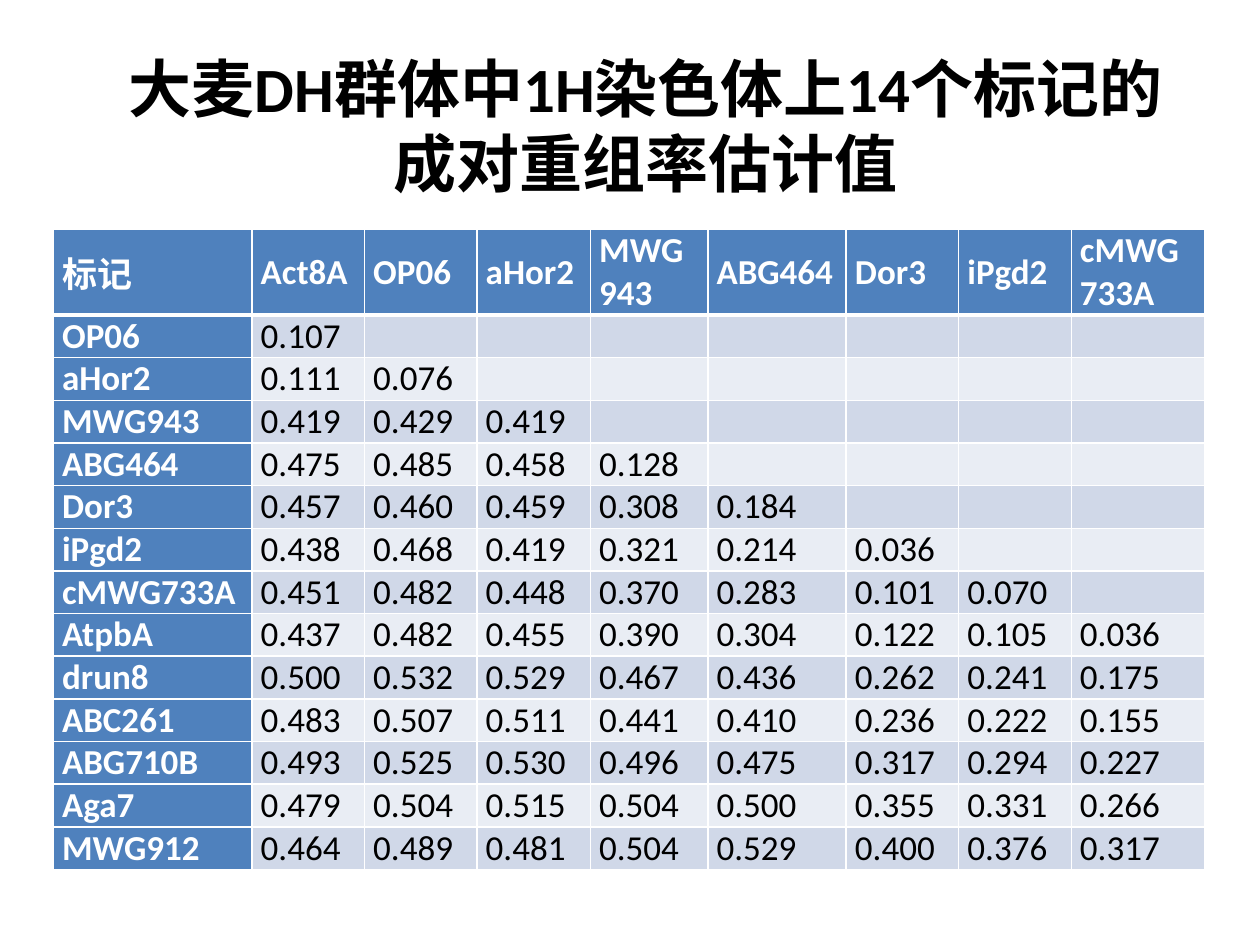
from lxml.etree import SubElement as Sub
from pptx import Presentation
from pptx.dml.color import RGBColor
from pptx.enum.text import MSO_ANCHOR as Anchor, PP_ALIGN as Align
from pptx.oxml.ns import qn
from pptx.util import Pt


def rgb(code):
    return RGBColor.from_string(code)


def write(frame, text, size=20, color="000000", bold=False, align=Align.LEFT):
    para = frame.paragraphs[0]
    para.alignment = align
    para.font.size = Pt(size)
    if text:
        run = para.add_run()
        run.text = text
        run.font.name = "Calibri"
        run.font.size = Pt(size)
        run.font.bold = bold
        run.font.color.rgb = rgb(color)


deck = Presentation()
deck.slide_width, deck.slide_height = Pt(720), Pt(540)
slide = deck.slides.add_slide(deck.slide_layouts[6])

title = slide.shapes.add_textbox(Pt(65.5), Pt(26), Pt(607), Pt(90.7)).text_frame
title.word_wrap = True
title.vertical_anchor = Anchor.MIDDLE
write(title, "大麦DH群体中1H染色体上14个标记的成对重组率估计值",
      size=36, bold=True, align=Align.CENTER)

rows = [line.split() for line in """
标记 Act8A OP06 aHor2 MWG943 ABG464 Dor3 iPgd2 cMWG733A
OP06 0.107
aHor2 0.111 0.076
MWG943 0.419 0.429 0.419
ABG464 0.475 0.485 0.458 0.128
Dor3 0.457 0.460 0.459 0.308 0.184
iPgd2 0.438 0.468 0.419 0.321 0.214 0.036
cMWG733A 0.451 0.482 0.448 0.370 0.283 0.101 0.070
AtpbA 0.437 0.482 0.455 0.390 0.304 0.122 0.105 0.036
drun8 0.500 0.532 0.529 0.467 0.436 0.262 0.241 0.175
ABC261 0.483 0.507 0.511 0.441 0.410 0.236 0.222 0.155
ABG710B 0.493 0.525 0.530 0.496 0.475 0.317 0.294 0.227
Aga7 0.479 0.504 0.515 0.504 0.500 0.355 0.331 0.266
MWG912 0.464 0.489 0.481 0.504 0.529 0.400 0.376 0.317
""".strip().splitlines()]
widths = [113.5, 64.3, 64.3, 64.8, 67.1, 79.1, 64.3, 64.3, 76.3]
high = 24.4

table = slide.shapes.add_table(
    len(rows), len(widths), Pt(30.5), Pt(131.2),
    Pt(sum(widths)), Pt(high * (len(rows) + 1))).table
table.first_col = True
for col, width in zip(table.columns, widths):
    col.width = Pt(width)

for r, row in enumerate(rows):
    table.rows[r].height = Pt(high * 2 if r == 0 else high)
    for c in range(len(widths)):
        cell = table.cell(r, c)
        cell.margin_left = cell.margin_right = Pt(5)
        cell.margin_top = cell.margin_bottom = 0
        cell.vertical_anchor = Anchor.MIDDLE
        head = r == 0 or c == 0
        props = cell._tc.get_or_add_tcPr()
        for side in "LRTB":
            thick = (r == 0 and side == "B") or (r == 1 and side == "T")
            line = Sub(props, qn("a:ln" + side), w=str(Pt(3 if thick else 1)))
            Sub(Sub(line, qn("a:solidFill")), qn("a:srgbClr"), val="FFFFFF")
        cell.fill.solid()
        cell.fill.fore_color.rgb = rgb(
            "4F81BD" if head else "D0D8E8" if r % 2 else "E9EDF4")
        write(cell.text_frame, row[c] if c < len(row) else "",
              color="FFFFFF" if head else "000000", bold=head,
              align=Align.JUSTIFY if head and r + c else Align.LEFT)

deck.save("out.pptx")
